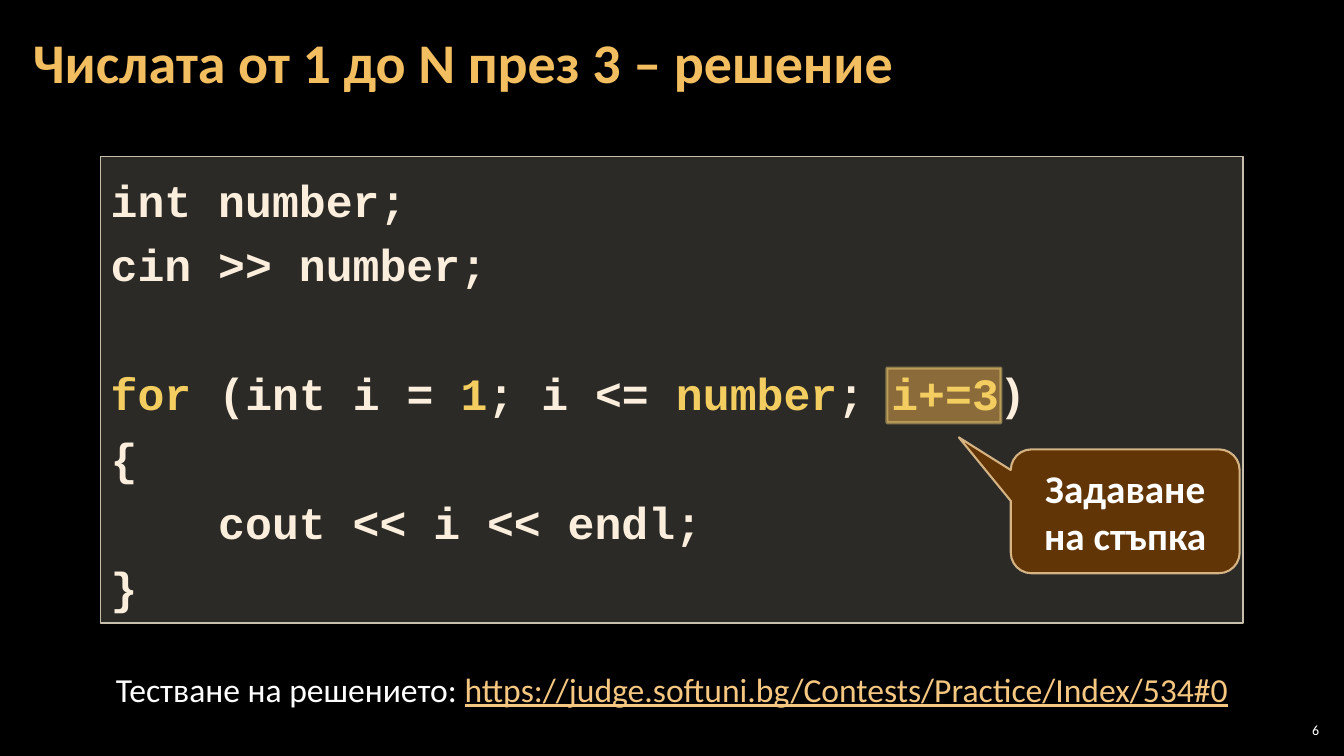
from lxml.etree import SubElement
from pptx import Presentation
from pptx.dml.color import RGBColor
from pptx.enum.shapes import MSO_SHAPE as Preset
from pptx.enum.text import MSO_ANCHOR as Anchor, PP_ALIGN as Align
from pptx.oxml.ns import qn
from pptx.util import Pt

COLORS = {
    "background": "000000", "white": "FFFFFF", "title": "F3BE60",
    "code": "FBEEDC", "keyword": "F3CD60", "link": "F6C781",
    "panel": "D9D5C7", "panel_line": "C7BFAC", "highlight": "F0A22E",
    "callout": "663606", "callout_line": "F8D49E",
}
TITLE = {"name": "Calibri", "size": Pt(40), "bold": True}
CODE = {"name": "Courier New", "size": Pt(32), "bold": True}
CALLOUT = {"name": "Calibri", "size": Pt(28), "bold": True}
BODY = {"name": "Calibri", "size": Pt(24), "bold": False}
LINK = BODY | {"underline": True}
NUMBER = {"name": "Calibri", "size": Pt(10), "bold": False}

CODE_LINES = [
    [("int number;", "code")],
    [("cin >> number;", "code")],
    [("for ", "keyword"), ("(int i = ", "code"), ("1", "keyword"),
     ("; i <= ", "code"), ("number", "keyword"), ("; ", "code"),
     ("i+=3", "keyword"), (")", "code")],
    [("{", "code")],
    [("    cout << i << endl;", "code")],
    [("}", "code")],
]
LOOP_LINE = 2
LINE_PITCH = 46


def color(name):
    """Return the named colour."""
    return RGBColor.from_string(COLORS[name])


def add_run(paragraph, text, color_name, style):
    """Append a formatted run to a paragraph."""
    run = paragraph.add_run()
    run.text = text
    for key, value in style.items():
        setattr(run.font, key, value)
    run.font.color.rgb = color(color_name)


def set_frame(frame, anchor, side, edge):
    """Set wrapping, anchor and insets of a text frame."""
    values = {"word_wrap": True, "vertical_anchor": anchor,
              "margin_left": Pt(side), "margin_right": Pt(side),
              "margin_top": Pt(edge), "margin_bottom": Pt(edge)}
    for key, value in values.items():
        setattr(frame, key, value)


def set_opacity(solid_fill, percent):
    """Give a solid fill element an opacity."""
    alpha = SubElement(solid_fill.find(qn("a:srgbClr")), qn("a:alpha"))
    alpha.set("val", str(percent * 1000))


def add_panel(slide, preset, box, fill, line, width, opacities):
    """Add a translucent outlined shape."""
    shape = slide.shapes.add_shape(preset, *map(Pt, box))
    shape.shadow.inherit = False
    shape.fill.solid()
    shape.fill.fore_color.rgb = color(fill)
    shape.line.color.rgb = color(line)
    shape.line.width = Pt(width)
    properties = shape.element.spPr
    outline = properties.find(qn("a:ln"))
    for parent, percent in zip((properties, outline), opacities):
        set_opacity(parent.find(qn("a:solidFill")), percent)
    return shape


def add_text(slide, box, alignment, anchor, insets, runs):
    """Add a one-paragraph text box."""
    frame = slide.shapes.add_textbox(*map(Pt, box)).text_frame
    set_frame(frame, anchor, *insets)
    frame.paragraphs[0].alignment = alignment
    for run in runs:
        add_run(frame.paragraphs[0], *run)


def set_title(slide, text):
    """Place and format the title placeholder."""
    title = slide.shapes.title
    box = {"left": 15, "top": 3, "width": 754, "height": 87}
    for key, value in box.items():
        setattr(title, key, Pt(value))
    set_frame(title.text_frame, Anchor.MIDDLE, 8.5, 2.8)
    paragraph = title.text_frame.paragraphs[0]
    paragraph.alignment = Align.LEFT
    paragraph.line_spacing = 0.9
    add_run(paragraph, text, "title", TITLE)


def add_code(slide):
    """Add the code panel with its coloured lines."""
    panel = add_panel(slide, Preset.RECTANGLE, (72, 112, 816, 333),
                      "panel", "panel_line", 1, (20, 100))
    frame = panel.text_frame
    set_frame(frame, Anchor.TOP, 7.2, 3.6)
    for index, line in enumerate(CODE_LINES):
        paragraph = frame.add_paragraph() if index else frame.paragraphs[0]
        paragraph.alignment = Align.LEFT
        paragraph.line_spacing = 1.2
        if index == LOOP_LINE:
            paragraph.space_before = Pt(LINE_PITCH)
        for text, color_name in line:
            add_run(paragraph, text, color_name, CODE)


def add_callout(slide, text):
    """Add the callout that points at the loop step."""
    callout = add_panel(slide, Preset.ROUNDED_RECTANGULAR_CALLOUT,
                        (722, 321, 163.5, 88.5), "callout", "callout_line",
                        1.5, (95, 80))
    for index, value in enumerate((-0.727, -0.597, 0.167)):
        callout.adjustments[index] = value
    set_frame(callout.text_frame, Anchor.MIDDLE, 7.2, 3.6)
    paragraph = callout.text_frame.paragraphs[0]
    paragraph.alignment = Align.CENTER
    add_run(paragraph, text, "white", CALLOUT)


def main():
    """Build and save the slide."""
    presentation = Presentation()
    presentation.slide_width, presentation.slide_height = Pt(960), Pt(540)
    slide = presentation.slides.add_slide(presentation.slide_layouts[5])
    slide.background.fill.solid()
    slide.background.fill.fore_color.rgb = color("background")

    set_title(slide, "Числата от 1 до N през 3 – решение")
    add_panel(slide, Preset.RECTANGLE, (633.5, 263, 81.5, 39),
              "highlight", "keyword", 2.25, (50, 50))
    add_code(slide)
    add_callout(slide, "Задаване на стъпка")
    add_text(slide, (60, 474, 840, 36), Align.CENTER, Anchor.TOP, (7.2, 3.6), [
        ("Тестване на решението: ", "white", BODY),
        ("https://judge.softuni.bg/Contests/Practice/Index/534#0", "link", LINK),
    ])
    add_text(slide, (911, 514, 34, 15), Align.RIGHT, Anchor.MIDDLE, (2.8, 2.8),
             [("6", "white", NUMBER)])
    presentation.save("out.pptx")


if __name__ == "__main__":
    main()
